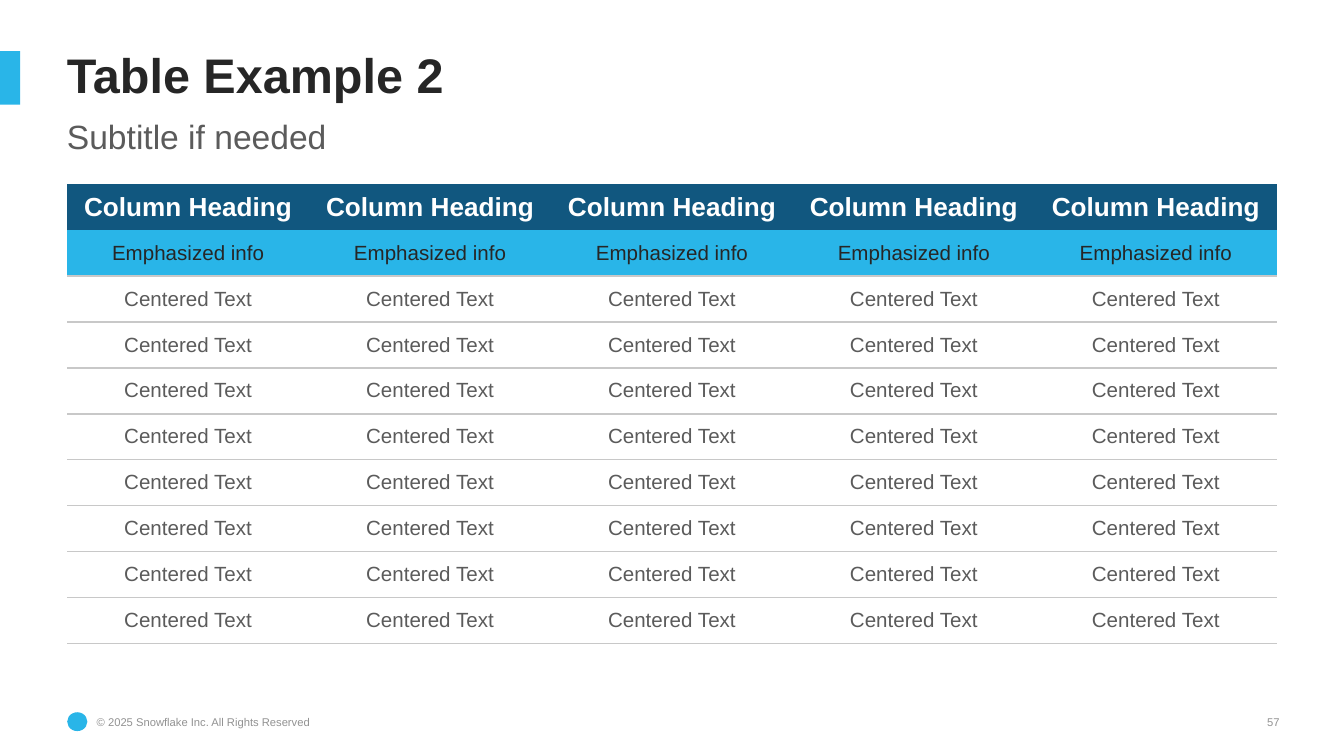
from lxml.etree import SubElement
from pptx import Presentation
from pptx.dml.color import RGBColor
from pptx.enum.shapes import MSO_SHAPE as Shape
from pptx.enum.text import MSO_ANCHOR as Anchor, PP_ALIGN as Align
from pptx.oxml.ns import qn
from pptx.util import Inches, Pt

# The slide is a grid of square units, 100 columns wide
COLS, ROWS = 100, 56.25
UNIT = Inches(10) // COLS

COLORS = {
    "white": "FFFFFF",
    "ink": "262626",
    "body": "5B5B5B",
    "muted": "929292",
    "rule": "C8C8C8",
    "navy": "11577F",
    "sky": "29B5E8",
}


def rgb(name):
    return RGBColor.from_string(COLORS[name])


def grid(*units):
    return [round(u * UNIT) for u in units]


def write(tf, text, size=11, color="body", bold=False, align=Align.LEFT,
          spacing=None, after=None):
    p = tf.paragraphs[0]
    p.alignment = align
    if spacing:
        p.line_spacing = spacing
    if after:
        p.space_after = Pt(after)
    r = p.add_run()
    r.text = text
    r.font.name = "Arial"
    r.font.size = Pt(size)
    r.font.bold = bold
    r.font.color.rgb = rgb(color)


def add_text(s, box, text, inset=0, anchor=Anchor.TOP, **fmt):
    tf = s.shapes.add_textbox(*grid(*box)).text_frame
    tf.word_wrap = True
    tf.vertical_anchor = anchor
    tf.margin_left = tf.margin_right = tf.margin_top = tf.margin_bottom = grid(inset)[0]
    write(tf, text, **fmt)


def add_block(s, box, kind, color):
    sp = s.shapes.add_shape(kind, *grid(*box))
    sp.shadow.inherit = False
    sp.fill.solid()
    sp.fill.fore_color.rgb = rgb(color)
    sp.line.fill.background()


def set_borders(cell, ruled):
    """Draw a rule on the sides in ruled and leave the others bare."""
    tc_pr = cell._tc.get_or_add_tcPr()
    for side in "LRTB":
        ln = SubElement(tc_pr, qn(f"a:ln{side}"), w=str(Pt(1)))
        if side in ruled:
            fill = SubElement(ln, qn("a:solidFill"))
            SubElement(fill, qn("a:srgbClr"), val=COLORS["rule"])
        else:
            SubElement(ln, qn("a:noFill"))


def add_heading(s, x, y, w, h):
    # Accent bar at the slide's edge
    add_block(s, (0, y + 0.8, 1.5, 4), Shape.RECTANGLE, "sky")
    # Title and subtitle
    add_text(s, (x, y, w, h), "Table Example 2", inset=1, size=26, color="ink",
             bold=True, spacing=0.85, after=10)
    add_text(s, (x, y + 4.2, w, h), "Subtitle if needed", inset=1, size=18,
             spacing=1.15, after=10)


def add_data_table(s, x, y, w, h, columns=5, body_rows=8):
    # Text, fill, ruled sides and text format of each row
    heading = ("Column Heading", "navy", "", dict(size=14, color="white", bold=True))
    emphasis = ("Emphasized info", "sky", "B", dict(color="ink"))
    body = ("Centered Text", "white", "TB", {})
    rows = [heading, emphasis] + [body] * body_rows

    table = s.shapes.add_table(len(rows), columns, *grid(x, y, w, h)).table
    table.first_row = table.horz_banding = False
    for column in table.columns:
        column.width = grid(w / columns)[0]
    for i, (text, fill, ruled, fmt) in enumerate(rows):
        table.rows[i].height = grid(h / len(rows))[0]
        for cell in table.rows[i].cells:
            cell.margin_left = cell.margin_right = grid(0.4)[0]
            cell.margin_top = cell.margin_bottom = grid(0.4)[0]
            cell.vertical_anchor = Anchor.MIDDLE
            set_borders(cell, ruled)
            cell.fill.solid()
            cell.fill.fore_color.rgb = rgb(fill)
            write(cell.text_frame, text, align=Align.CENTER, **fmt)


def add_footer(s, x, y, w, h):
    # Plain mark, copyright line and page number
    add_block(s, (x, y - 0.2, 1.5, 1.4), Shape.OVAL, "sky")
    add_text(s, (x + 2.2, y, 18.4, h), "© 2025 Snowflake Inc. All Rights Reserved",
             size=6, color="muted")
    add_text(s, (x + w - 5.2, y, 5.2, h), "57", size=6, color="muted",
             align=Align.RIGHT, anchor=Anchor.BOTTOM)


def main():
    prs = Presentation()
    prs.slide_width, prs.slide_height = grid(COLS, ROWS)
    s = prs.slides.add_slide(prs.slide_layouts[6])
    add_heading(s, 4, 3, 91.3, 4)
    add_data_table(s, 5, 13.7, 90, 34.2)
    add_footer(s, 5, 53.2, 90.2, 1)
    prs.save("out.pptx")


if __name__ == "__main__":
    main()
